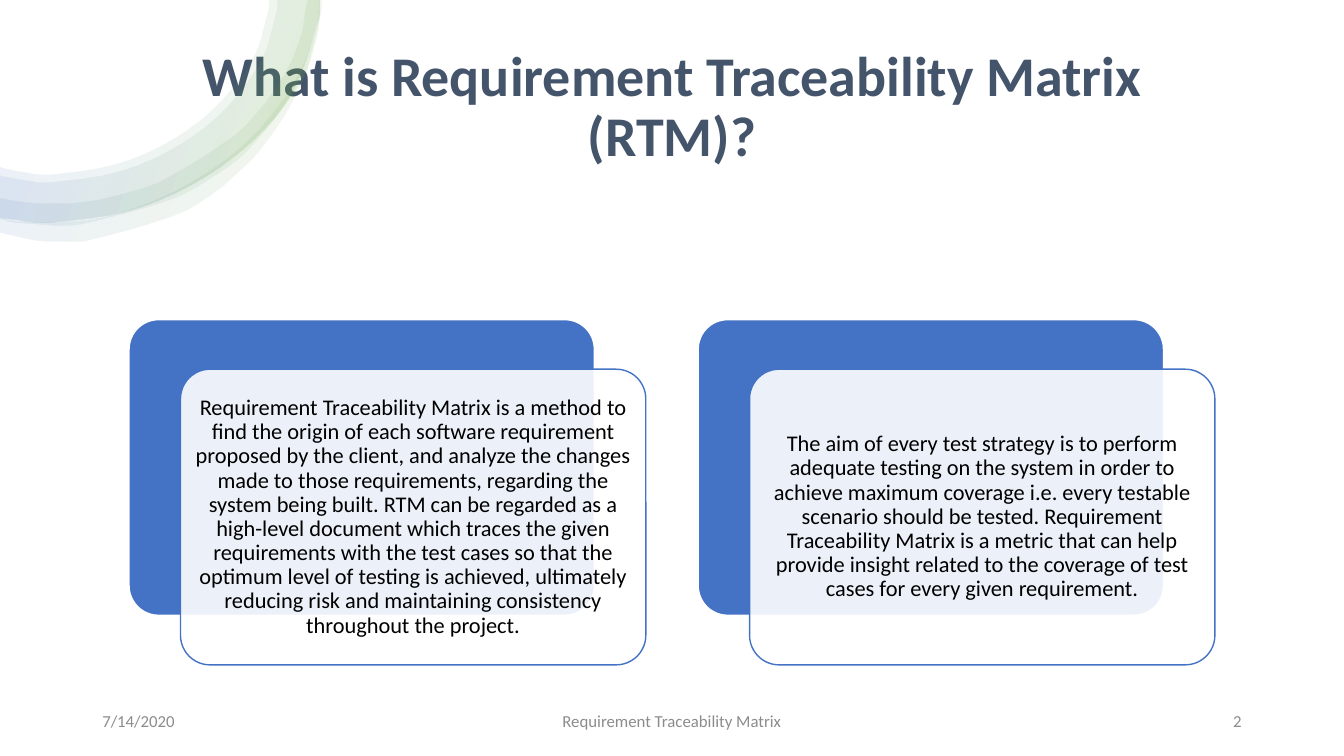
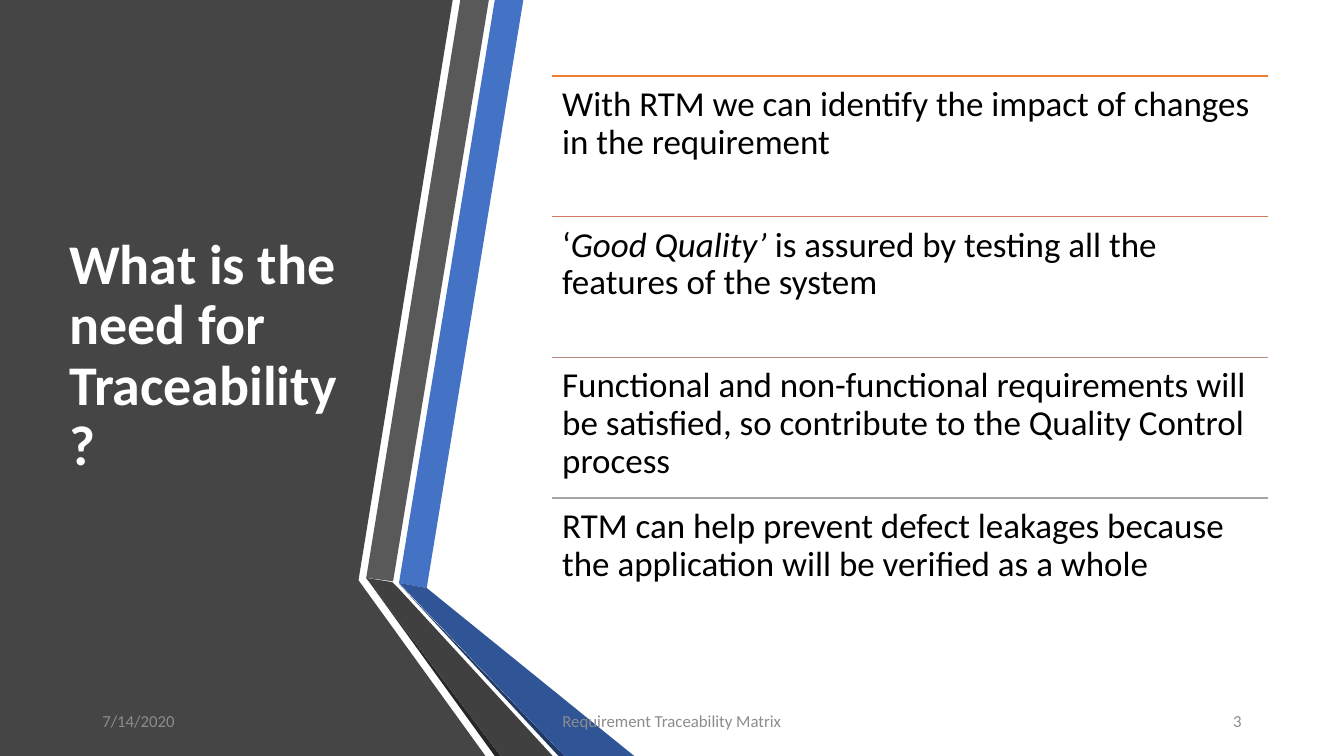
import dataclasses
import math
import typing

import lxml.etree
import pptx
import pptx.dml.color
import pptx.enum.shapes
import pptx.enum.text
import pptx.oxml.ns
import pptx.util

ALIGN = pptx.enum.text.PP_ALIGN
ANCHOR = pptx.enum.text.MSO_ANCHOR
ROUND = pptx.enum.shapes.MSO_SHAPE.ROUNDED_RECTANGLE
LINE = pptx.enum.shapes.MSO_CONNECTOR.STRAIGHT
TITLE_ONLY = 5
COLS, ROWS = 160, 90  # square cells, twelve to the inch
Points = list[tuple[float, float]]


@dataclasses.dataclass(frozen=True)
class Theme:
    font: str = "Calibri"
    white: str = "FFFFFF"
    black: str = "000000"
    blue: str = "4472C4"
    green: str = "70AD47"
    slate: str = "44546A"
    muted: str = "8C8C8C"
    head: int = 40
    row: int = 25
    card: int = 16
    foot: int = 12


THEME = Theme()


class Box(typing.NamedTuple):
    left: float
    top: float
    width: float
    height: float


class Foot(typing.NamedTuple):
    box: Box
    align: ALIGN


class Ring(typing.NamedTuple):
    outer: Points
    inner: Points


class Band(typing.NamedTuple):
    color: str
    points: Points


class Row(typing.NamedTuple):
    color: str
    text: str


FEET = [
    Foot(Box(11, 83.4, 36, 4.8), ALIGN.LEFT),
    Foot(Box(53, 83.4, 54, 4.8), ALIGN.CENTER),
    Foot(Box(113, 83.4, 36, 4.8), ALIGN.RIGHT),
]

RIM = [(38, 0), (37.9, 2.2), (34.3, 11.8), (26.9, 19.4), (16.9, 24.6), (5.9, 26.5),
       (0.5, 26), (0, 25.9)]
RINGS = [
    Ring(RIM, [(0, 19.9), (1.6, 20.3), (5.9, 20.8), (15.5, 19), (24, 14.2), (29.9, 7.3),
               (31.9, 1.3), (32, 0)]),
    Ring(RIM, [(0, 20.9), (1.4, 21.2), (5.9, 21.7), (15.8, 19.9), (24.7, 14.9), (30.8, 7.7),
               (32.9, 1.4), (33, 0)]),
    Ring([(38, 0), (38, 2), (37.6, 4.6), (35.9, 9.5), (29.5, 17.8), (25.3, 21), (20.5, 23.6),
          (10.1, 26.5), (7.3, 26.8), (4.6, 26.6), (1.8, 26.4), (0, 26)],
         [(0, 23.5), (2.2, 23.9), (4.7, 24.1), (9.7, 24), (14.6, 23), (19.3, 21.4),
          (27.8, 16.1), (31.2, 12.6), (34, 8.5), (35.8, 4.2), (36.2, 1.8), (36.5, 0)]),
    Ring([(38.3, 0), (38.2, 1.4), (36.2, 9.2), (35, 11.6), (33.7, 14), (30.4, 18.5),
          (28.4, 20.4), (26.3, 22.3), (21.5, 25.3), (10.3, 28.6), (7.4, 28.7), (4.6, 28.6),
          (0.2, 27.7), (0, 27.6)],
         [(0, 25.9), (2, 26.3), (4.7, 26.4), (10.1, 26.2), (15.2, 25), (20.2, 23),
          (24.8, 20.4), (29, 17.2), (32.6, 13.3), (35.5, 8.9), (37.4, 4), (37.9, 1.4),
          (37.9, 0)]),
]
STOPS = [(2, THEME.white), (16, THEME.green), (85, THEME.blue), (100, THEME.white)]

BANDS = [
    Band("454545", [(0, 0), (53.9, 0), (42.7, 69), (42.7, 69.1), (57.8, 90), (0, 90)]),
    Band(THEME.blue, [(47.5, 69.4), (50.8, 70), (62.3, 0), (58.9, 0)]),
    Band("595959", [(58.2, 0), (54.8, 0), (43.6, 68.8), (46.8, 69.2)]),
    Band("262626", [(43.6, 68.8), (58.9, 90), (59.6, 90)]),
    Band("203864", [(47.5, 69.5), (66.5, 90), (67.2, 90)]),
    Band("2F5597", [(47.5, 69.4), (67.2, 90), (75.5, 90), (50.8, 70)]),
    Band("404040", [(65.8, 90), (47.4, 70), (46.7, 69.3), (43.6, 68.8), (59.6, 90)]),
]

CARD = Box(15.37, 38.05, 55.4, 35.2)
CARD_STEP = 67.75
FRONT_X, FRONT_Y = 6.12, 5.9
CARDS = [
    "Requirement Traceability Matrix is a method to find the origin of each software "
    "requirement proposed by the client, and analyze the changes made to those requirements, "
    "regarding the system being built. RTM can be regarded as a high-level document which "
    "traces the given requirements with the test cases so that the optimum level of testing is "
    "achieved, ultimately reducing risk and maintaining consistency throughout the project.",
    "The aim of every test strategy is to perform adequate testing on the system in order to "
    "achieve maximum coverage i.e. every testable scenario should be tested. Requirement "
    "Traceability Matrix is a metric that can help provide insight related to the coverage of "
    "test cases for every given requirement.",
]

LIST = Box(65.75, 9.05, 85.25, 16.75)
ITEMS = [
    Row("ED7D31", "With RTM we can identify the impact of changes in the requirement"),
    Row("D17B5C", "‘*Good Quality’* is assured by testing all the features of the system"),
    Row("B98A82", "Functional and non-functional requirements will be satisfied, so contribute "
                  "to the Quality Control process"),
    Row("A5A5A5", "RTM can help prevent defect leakages because the application will be "
                  "verified as a whole"),
]


def cell(count: float) -> pptx.util.Emu:
    """Turn a count of grid cells into a length."""
    return pptx.util.Emu(round(count * pptx.util.Inches(1) / 12))


def place(box: Box) -> tuple:
    return tuple(cell(side) for side in box)


def paint(color: str) -> pptx.dml.color.RGBColor:
    return pptx.dml.color.RGBColor.from_string(color)


def write(shape, text: str, *, size: int, color: str = THEME.black, bold: bool = False,
          align: ALIGN = ALIGN.LEFT, anchor: ANCHOR = ANCHOR.MIDDLE,
          space: float = 0.9, inset: typing.Optional[float] = None) -> None:
    """Fill a shape with one paragraph; words between asterisks are italic."""
    frame = shape.text_frame
    frame.word_wrap = True
    frame.auto_size = pptx.enum.text.MSO_AUTO_SIZE.NONE
    frame.vertical_anchor = anchor
    if inset is not None:
        frame.margin_left = frame.margin_right = pptx.util.Inches(inset)
        frame.margin_top = frame.margin_bottom = pptx.util.Inches(inset)
    para = frame.paragraphs[0]
    para.alignment = align
    para.line_spacing = space
    for turn, part in enumerate(text.split("*")):
        run = para.add_run()
        run.text = part
        font = run.font
        font.name, font.size = THEME.font, pptx.util.Pt(size)
        font.bold, font.italic = bold, turn % 2 == 1
        font.color.rgb = paint(color)


def fade(color, share: int) -> None:
    """Give a colour element an opacity in percent."""
    lxml.etree.SubElement(color, pptx.oxml.ns.qn("a:alpha"), val=str(share * 1000))


def trace(slide, points: Points):
    (left, top), *rest = [(cell(x), cell(y)) for x, y in points]
    pen = slide.shapes.build_freeform(left, top)
    pen.add_line_segments(rest, close=True)
    shape = pen.convert_to_shape()
    shape.shadow.inherit = False
    shape.line.fill.background()
    return shape


def handles(points: Points) -> list[Points]:
    """Find the two control points of each segment of a smooth curve."""
    ends = [points[0], *points, points[-1]]
    out = []
    for a, b, c, d in zip(ends, ends[1:], ends[2:], ends[3:]):
        reach = math.dist(b, c) / 3
        near, far = reach / math.dist(a, c), reach / math.dist(b, d)
        out.append([(b[0] + (c[0] - a[0]) * near, b[1] + (c[1] - a[1]) * near),
                    (c[0] - (d[0] - b[0]) * far, c[1] - (d[1] - b[1]) * far)])
    return out


def bend(shape, pairs: list[Points]) -> None:
    """Turn the straight segments of an outline into curves; an empty pair stays straight."""
    qn = pptx.oxml.ns.qn
    for side, pair in zip(list(shape.element.spPr.iter(qn("a:lnTo"))), pairs):
        if pair:
            side.tag = qn("a:cubicBezTo")
        for spot, (x, y) in enumerate(pair):
            side.insert(spot, lxml.etree.Element(
                qn("a:pt"), x=str(cell(x) - shape.left), y=str(cell(y) - shape.top)))


def draw_ring(slide, ring: Ring) -> None:
    shape = trace(slide, ring.outer + ring.inner)
    bend(shape, [*handles(ring.outer), [], *handles(ring.inner)])
    shape.fill.gradient()
    shape.fill.gradient_angle = 160
    qn = pptx.oxml.ns.qn
    stops = shape.element.spPr.find(f".//{qn('a:gsLst')}")
    for old in list(stops):
        stops.remove(old)
    for share, color in STOPS:
        stop = lxml.etree.SubElement(stops, qn("a:gs"), pos=str(share * 1000))
        fade(lxml.etree.SubElement(stop, qn("a:srgbClr"), val=color), 10)


def draw_band(slide, band: Band) -> None:
    shape = trace(slide, band.points)
    shape.fill.solid()
    shape.fill.fore_color.rgb = paint(band.color)


def draw_panel(slide, box: Box, fill: str, edge: str):
    panel = slide.shapes.add_shape(ROUND, *place(box))
    panel.adjustments[0] = 0.1
    panel.shadow.inherit = False
    panel.fill.solid()
    panel.fill.fore_color.rgb = paint(fill)
    panel.line.color.rgb = paint(edge)
    panel.line.width = pptx.util.Pt(1)
    return panel


def draw_card(slide, index: int, text: str) -> None:
    back = CARD._replace(left=CARD.left + index * CARD_STEP)
    draw_panel(slide, back, THEME.blue, THEME.white)
    box = back._replace(left=back.left + FRONT_X, top=back.top + FRONT_Y)
    front = draw_panel(slide, box, THEME.white, THEME.blue)
    fade(front.element.spPr.find(f".//{pptx.oxml.ns.qn('a:srgbClr')}"), 90)
    write(front, text, size=THEME.card, align=ALIGN.CENTER, inset=0.06)


def draw_row(slide, index: int, row: Row) -> None:
    box = LIST._replace(top=LIST.top + index * LIST.height)
    left, top, width, _ = place(box)
    rule = slide.shapes.add_connector(LINE, left, top, left + width, top)
    rule.line.color.rgb = paint(row.color)
    rule.line.width = pptx.util.Pt(1)
    lxml.etree.SubElement(rule.element.spPr, pptx.oxml.ns.qn("a:effectLst"))
    write(slide.shapes.add_textbox(*place(box)), row.text, size=THEME.row,
          anchor=ANCHOR.TOP, inset=0.1)


def set_title(slide, text: str, box: Box, color: str, align: ALIGN) -> None:
    title = slide.shapes.title
    title.left, title.top, title.width, title.height = place(box)
    write(title, text, size=THEME.head, color=color, bold=True, align=align)


def add_foot(slide, number: int) -> None:
    words = ["7/14/2020", "Requirement Traceability Matrix", str(number)]
    for foot, text in zip(FEET, words):
        write(slide.shapes.add_textbox(*place(foot.box)), text, size=THEME.foot,
              color=THEME.muted, align=foot.align, space=1.0)


def add_what(deck) -> None:
    slide = deck.slides.add_slide(deck.slide_layouts[TITLE_ONLY])
    set_title(slide, "What is Requirement Traceability Matrix (RTM)?",
              Box(15.5, 4.2, 129, 17.4), THEME.slate, ALIGN.CENTER)
    for ring in RINGS:
        draw_ring(slide, ring)
    for index, text in enumerate(CARDS):
        draw_card(slide, index, text)
    add_foot(slide, 2)


def add_need(deck) -> None:
    slide = deck.slides.add_slide(deck.slide_layouts[TITLE_ONLY])
    for band in BANDS:
        draw_band(slide, band)
    slide.shapes.element.append(slide.shapes.title.element)  # lift it above the bands
    set_title(slide, "What is the need for Traceability?",
              Box(7.05, 9, 36.5, 67), THEME.white, ALIGN.LEFT)
    for index, row in enumerate(ITEMS):
        draw_row(slide, index, row)
    add_foot(slide, 3)


def main() -> None:
    deck = pptx.Presentation()
    deck.slide_width, deck.slide_height = cell(COLS), cell(ROWS)
    add_what(deck)
    add_need(deck)
    deck.save("out.pptx")


if __name__ == "__main__":
    main()
